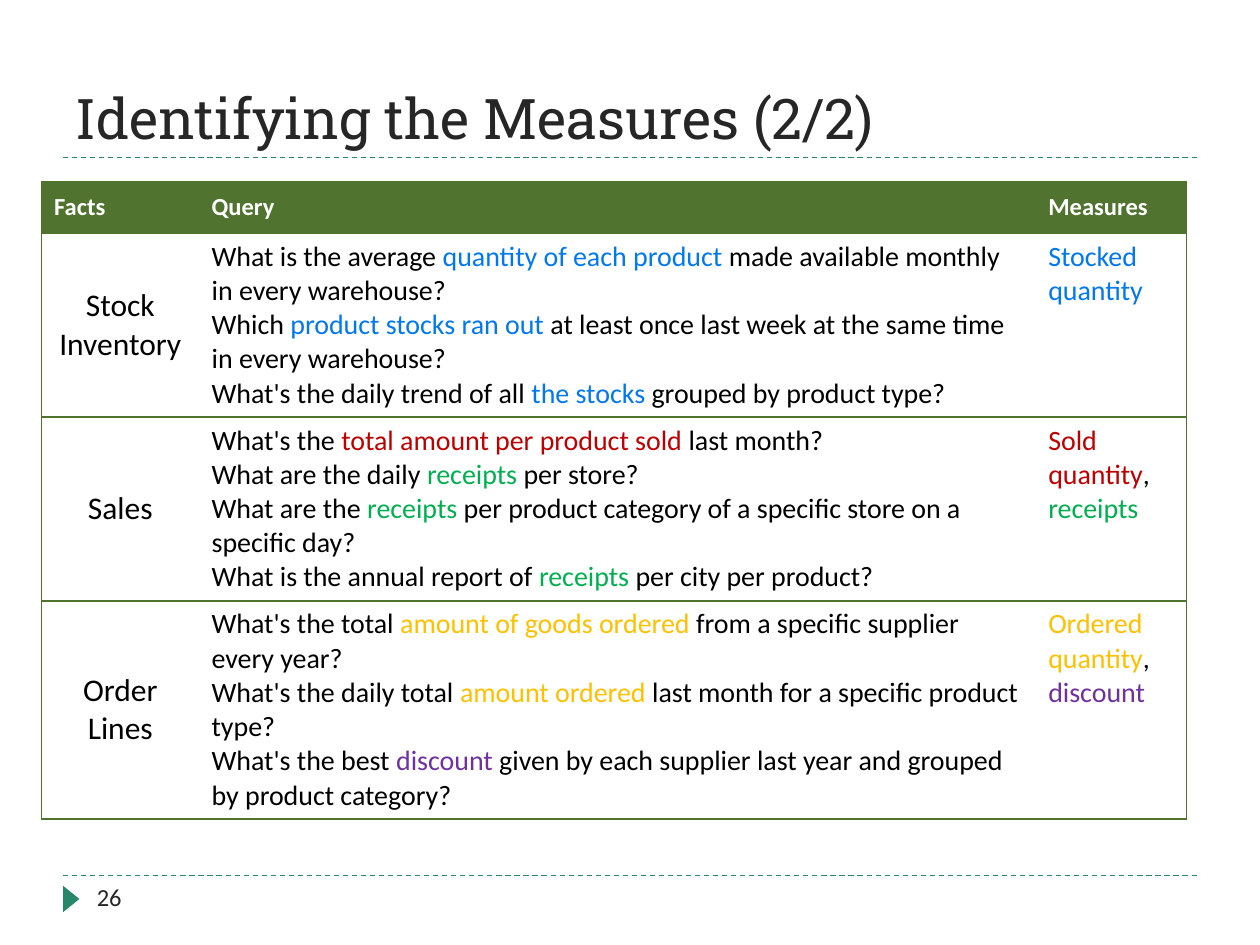
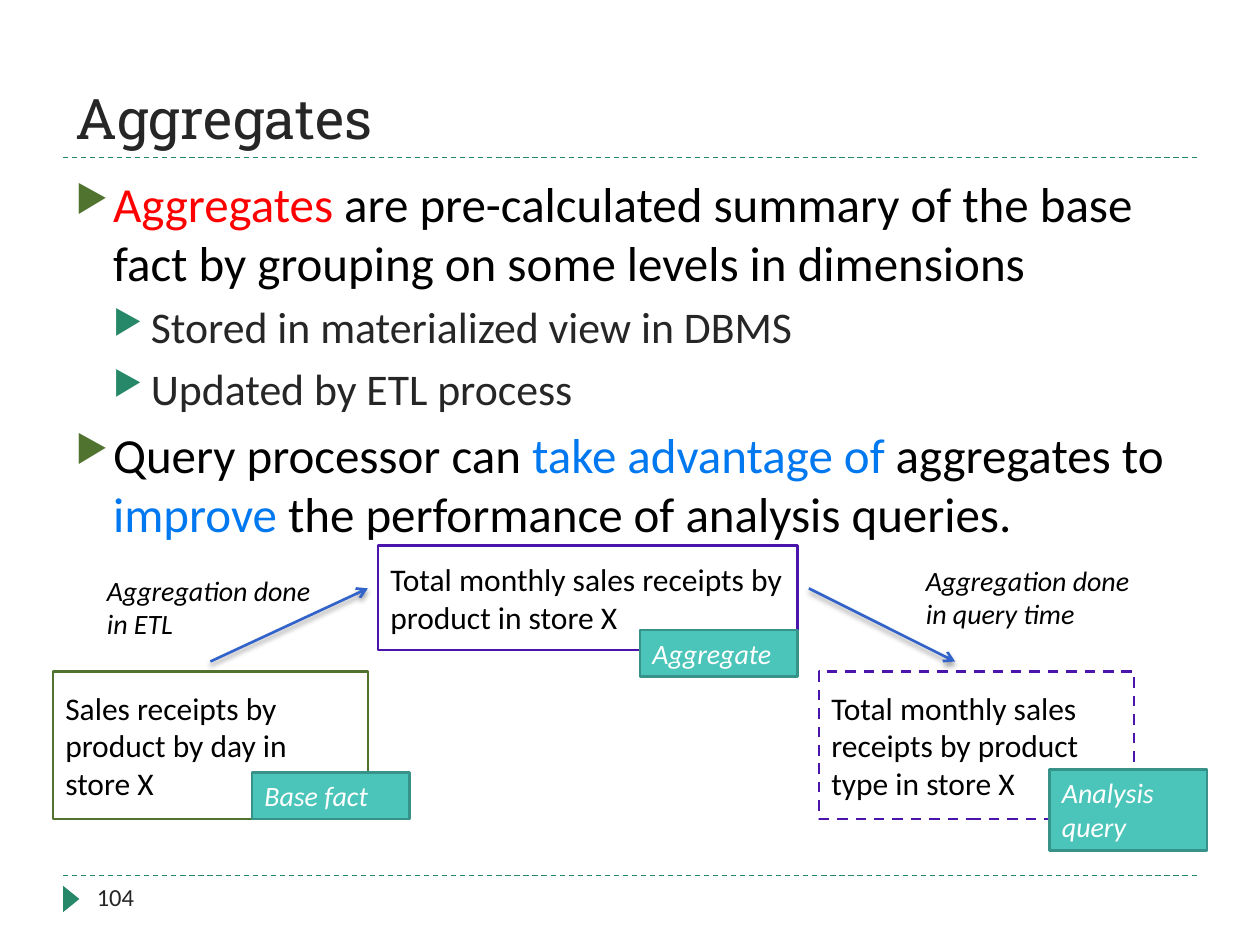
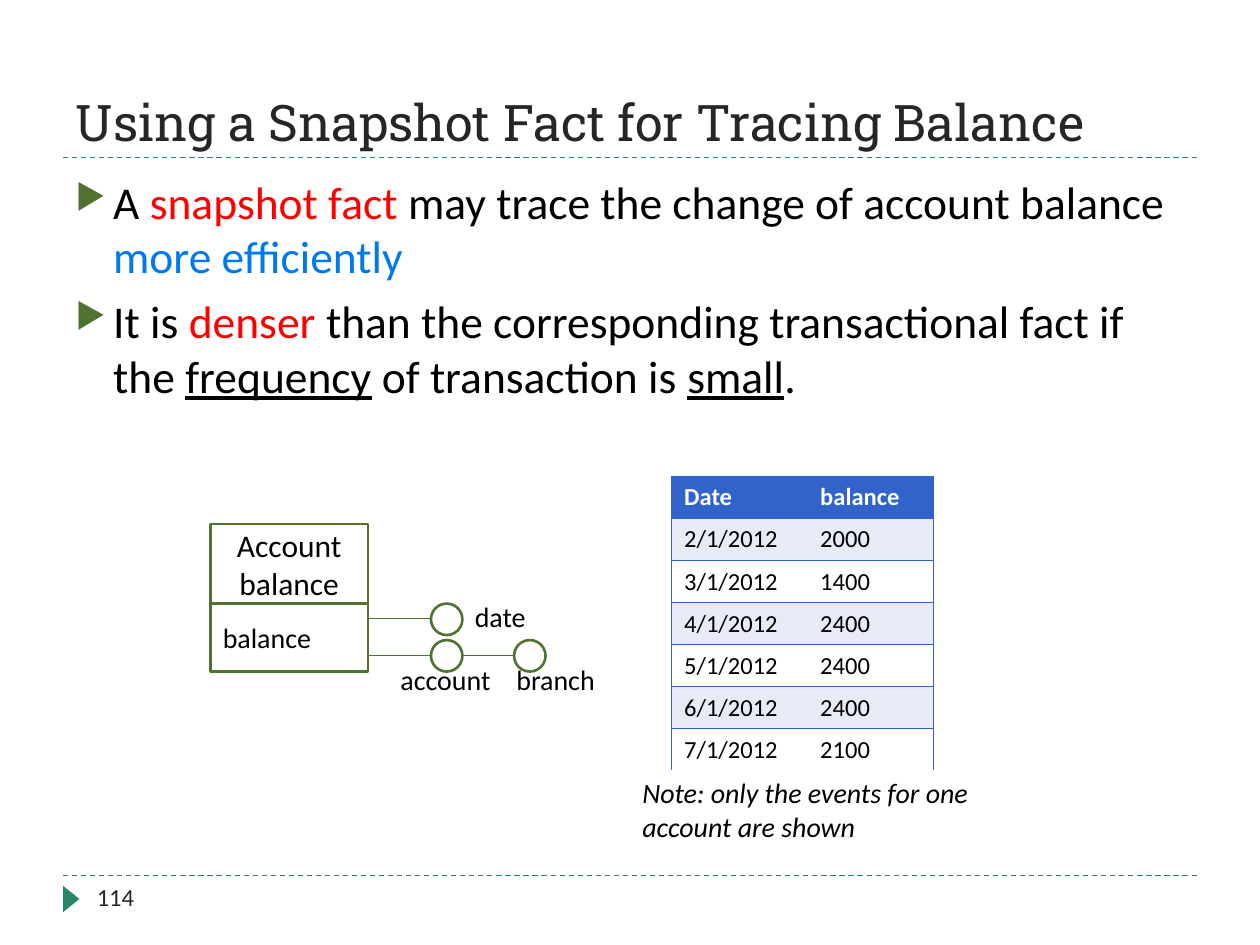
"""Build three slides on data warehouse measures, aggregates and snapshot facts."""
from lxml import etree
from pptx import Presentation
from pptx.dml.color import RGBColor
from pptx.enum.dml import MSO_LINE as Dash
from pptx.enum.shapes import MSO_CONNECTOR as Link, MSO_SHAPE as Kind
from pptx.enum.text import MSO_ANCHOR as Anchor, MSO_AUTO_SIZE as Fit, PP_ALIGN as Align
from pptx.oxml import parse_xml
from pptx.oxml.ns import nsdecls, qn
from pptx.util import Pt

PX = 9144
BODY, HEAD = "Calibri", "Roboto Slab"
GREEN, TEAL, BLUE, VIOLET = "50742F", "268868", "3163CA", "4B14AA"
MINT, PINE, PALE = "4BC5B9", "379289", "E8EAF6"
INK, BLACK, WHITE = "262626", "000000", "FFFFFF"
TINTS = {"blue": "0078F0", "red": "FF0000", "dark": "C00000", "green": "00B050",
         "gold": "FFC000", "plum": "7030A0", "u": BLACK}

FACTS = [
    (["Facts"], ["Query"], ["Measures"]),
    (["Stock Inventory"],
     ["What is the average [blue:quantity of each product] made available monthly in every warehouse?",
      "Which [blue:product stocks ran out] at least once last week at the same time in every warehouse?",
      "What's the daily trend of all [blue:the stocks] grouped by product type?"],
     ["[blue:Stocked quantity]"]),
    (["Sales"],
     ["What's the [dark:total amount per product sold] last month?",
      "What are the daily [green:receipts] per store?",
      "What are the [green:receipts] per product category of a specific store on a specific day?",
      "What is the annual report of [green:receipts] per city per product?"],
     ["[dark:Sold quantity],", "[green:receipts]"]),
    (["Order Lines"],
     ["What's the total [gold:amount of goods ordered] from a specific supplier every year?",
      "What's the daily total [gold:amount ordered] last month for a specific product type?",
      "What's the best [plum:discount] given by each supplier last year and grouped by product category?"],
     ["[gold:Ordered quantity],", "[plum:discount]"]),
]
AGGREGATES = [
    (0, "[red:Aggregates] are pre-calculated summary of the base fact by grouping on some levels in dimensions"),
    (1, "Stored in materialized view in DBMS"),
    (1, "Updated by ETL process"),
    (0, "Query processor can [blue:take advantage of] aggregates to [blue:improve]"
        " the performance of analysis queries."),
]
BOXES = [
    ((42, 533, 250, 117), "Sales receipts by product by day in store X", GREEN, None),
    ((650, 533, 250, 117), "Total monthly sales receipts by product type in store X", VIOLET, Dash.DASH),
    ((300, 433, 333, 83), "Total monthly sales receipts by product in store X", VIOLET, None),
]
ARROWS = [((167, 525, 292, 467), (75, 450, 183, 64), "Aggregation done in ETL"),
          ((642, 467, 758, 525), (725, 442, 183, 64), "Aggregation done in query time")]
TAGS = [((200, 613, 125, 37), "Base fact"),
        ((833, 611, 125, 64), "Analysis query"),
        ((508, 500, 125, 37), "Aggregate")]
SNAPSHOT = [
    (0, "A [red:snapshot fact] may trace the change of account balance [blue:more efficiently]"),
    (0, "It is [red:denser] than the corresponding transactional fact if the [u:frequency]"
        " of transaction is [u:small]."),
]
BALANCES = [("Date", "balance"), ("2/1/2012", "2000"), ("3/1/2012", "1400"),
            ("4/1/2012", "2400"), ("5/1/2012", "2400"), ("6/1/2012", "2400"),
            ("7/1/2012", "2100")]
LINKS = [(292, 491, 342, 491), (292, 520, 342, 520), (358, 520, 408, 520)]
NODES = [(342, 479), (342, 508), (408, 508)]
NAMES = [("date", 367, 471), ("account", 308, 521), ("branch", 400, 521)]


def px(nums):
    return [n * PX for n in nums]


def tint(code):
    return RGBColor.from_string(code)


def style(item, **vals):
    for key, val in vals.items():
        setattr(item, key, val)


def split(text):
    first, *rest = text.split("[")
    if first:
        yield "", first
    for part in rest:
        marked, _, plain = part.partition("]")
        tag, _, word = marked.partition(":")
        yield tag, word
        if plain:
            yield "", plain


def write(para, text, size, color=BLACK, name=BODY, bold=False, italic=False):
    for tag, word in split(text):
        run = para.add_run()
        run.text = word
        style(run.font, size=Pt(size), name=name, bold=bold, italic=italic, underline=tag == "u")
        run.font.color.rgb = tint(TINTS.get(tag, color))


def fill_text(frame, lines, size, align=Align.LEFT, **font):
    for i, line in enumerate(lines):
        para = frame.add_paragraph() if i else frame.paragraphs[0]
        para.alignment = align
        write(para, line, size, **font)


def add_text(slide, box, text, size=16, **font):
    frame = slide.shapes.add_textbox(*px(box)).text_frame
    frame.word_wrap = True
    fill_text(frame, [text], size, **font)


def add_box(slide, box, text="", size=18, kind=Kind.RECTANGLE, fill=WHITE, line=GREEN,
            dash=None, anchor=Anchor.MIDDLE, **font):
    shape = slide.shapes.add_shape(kind, *px(box))
    shape.shadow.inherit = False
    shape.fill.solid()
    shape.fill.fore_color.rgb = tint(fill)
    if line:
        shape.line.color.rgb = tint(line)
        style(shape.line, width=Pt(1.5), dash_style=dash)
    else:
        shape.line.fill.background()
    style(shape.text_frame, word_wrap=True, vertical_anchor=anchor)
    if text:
        fill_text(shape.text_frame, [text], size, **font)
    return shape


def add_line(slide, ends, color, width=0.75, dash=None, arrow=False):
    line = slide.shapes.add_connector(Link.STRAIGHT, *px(ends))
    line.line.color.rgb = tint(color)
    style(line.line, width=Pt(width), dash_style=dash)
    props = line.line._get_or_add_ln()
    effects = etree.SubElement(props.getparent(), qn("a:effectLst"))
    if arrow:
        etree.SubElement(props, qn("a:tailEnd"), type="arrow")
        effects.append(parse_xml(
            f'<a:outerShdw {nsdecls("a")} blurRad="38100" dist="25400" dir="5400000" rotWithShape="0">'
            f'<a:srgbClr val="{BLACK}"><a:alpha val="40000"/></a:srgbClr></a:outerShdw>'))


def add_bullets(slide, box, items, sizes):
    frame = slide.shapes.add_textbox(*px(box)).text_frame
    frame.word_wrap = True
    for i, (level, text) in enumerate(items):
        para = frame.add_paragraph() if i else frame.paragraphs[0]
        props = para._p.get_or_add_pPr()
        props.set("marL", str(30 * PX * (level + 1)))
        props.set("indent", str(-30 * PX))
        mark = etree.SubElement(props, qn("a:buClr"))
        etree.SubElement(mark, qn("a:srgbClr"), val=(GREEN, TEAL)[level])
        etree.SubElement(props, qn("a:buSzPct"), val="76000")
        etree.SubElement(props, qn("a:buChar"), char="▶")
        if i:
            para.space_before = Pt(6 - level)
        para.level = level
        write(para, text, sizes[level], (BLACK, INK)[level])


def edge(cell, color, width, sides):
    props = cell._tc.get_or_add_tcPr()
    for i, side in enumerate("LRTB"):
        paint = f'<a:solidFill><a:srgbClr val="{color}"/></a:solidFill>' if side in sides else "<a:noFill/>"
        props.insert(i, parse_xml(f'<a:ln{side} {nsdecls("a")} w="{Pt(width)}">{paint}</a:ln{side}>'))


def add_grid(slide, spot, cols, rows, color, width, data, look):
    size = (sum(cols), sum(rows))
    grid = slide.shapes.add_table(len(rows), len(cols), *px(spot + size)).table
    for col, wide in zip(grid.columns, cols):
        col.width = wide * PX
    for r, (row, high) in enumerate(zip(grid.rows, rows)):
        row.height = high * PX
        for c, cell in enumerate(row.cells):
            fill, anchor, font = look(r, c)
            cell.fill.solid()
            cell.fill.fore_color.rgb = tint(fill)
            cell.vertical_anchor = anchor
            fill_text(cell.text_frame, data[r][c], **font)
            edge(cell, color, width, "TB" + "L" * (c == 0) + "R" * (c == len(cols) - 1))


def fact_look(r, c):
    if r == 0:
        return GREEN, Anchor.MIDDLE, dict(size=14, color=WHITE, bold=True)
    if c == 0:
        return WHITE, Anchor.MIDDLE, dict(size=18, align=Align.CENTER)
    return WHITE, Anchor.TOP, dict(size=16)


def day_look(r, c):
    if r == 0:
        return BLUE, Anchor.TOP, dict(size=14, color=WHITE, bold=True)
    return (PALE if r % 2 else WHITE), Anchor.TOP, dict(size=14)


def add_slide(deck, title, number, size=32):
    slide = deck.slides.add_slide(deck.slide_layouts[5])
    for y in (695, 125):
        add_line(slide, (50, y, 950, y), TEAL, dash=Dash.DASH)
    mark = add_box(slide, (46, 707, 21, 13), kind=Kind.ISOSCELES_TRIANGLE, fill=TEAL, line=None)
    mark.rotation = 90
    head = slide.shapes.title
    style(head, **dict(zip(("left", "top", "width", "height"), px((50, 17, 900, 108)))))
    style(head.text_frame, word_wrap=True, auto_size=Fit.NONE, vertical_anchor=Anchor.BOTTOM)
    fill_text(head.text_frame, [title], size, color=INK, name=HEAD)
    add_text(slide, (67, 695, 217, 40), number, 14, color=INK)
    return slide


def measures(deck):
    slide = add_slide(deck, "Identifying the Measures (2/2)", "26")
    add_grid(slide, (33, 144), (125, 664, 120), (41, 146, 146, 173), GREEN, 0.75, FACTS, fact_look)


def aggregates(deck):
    slide = add_slide(deck, "Aggregates", "104")
    add_bullets(slide, (50, 133, 900, 292), AGGREGATES, (28, 25))
    for box, text, line, dash in BOXES:
        add_box(slide, box, text, line=line, dash=dash)
    for ends, box, text in ARROWS:
        add_line(slide, ends, BLUE, 1.5, arrow=True)
        add_text(slide, box, text, italic=True)
    for box, text in TAGS:
        add_box(slide, box, text, 16, fill=MINT, line=PINE, anchor=Anchor.TOP, color=WHITE, italic=True)


def snapshot(deck):
    slide = add_slide(deck, "Using a Snapshot Fact for Tracing Balance", "114", 28.8)
    add_bullets(slide, (50, 133, 900, 233), SNAPSHOT, (26,))
    add_box(slide, (167, 416, 125, 63), "Account balance", align=Align.CENTER)
    add_box(slide, (167, 479, 125, 54), "balance", 16)
    for ends in LINKS:
        add_line(slide, ends, GREEN)
    for spot in NODES:
        add_box(slide, spot + (25, 25), kind=Kind.OVAL)
    for name, x, y in NAMES:
        add_text(slide, (x, y, 92, 37), name)
    days = [[[text] for text in row] for row in BALANCES]
    add_grid(slide, (533, 378), (108, 100), [33] * len(days), BLUE, 1, days, day_look)
    add_box(slide, (500, 611, 283, 64), "Note: only the events for one account are shown", 16,
            line=None, anchor=Anchor.TOP, italic=True)


def main():
    deck = Presentation()
    style(deck, slide_width=1000 * PX, slide_height=750 * PX)
    for build in (measures, aggregates, snapshot):
        build(deck)
    deck.save("out.pptx")


if __name__ == "__main__":
    main()
